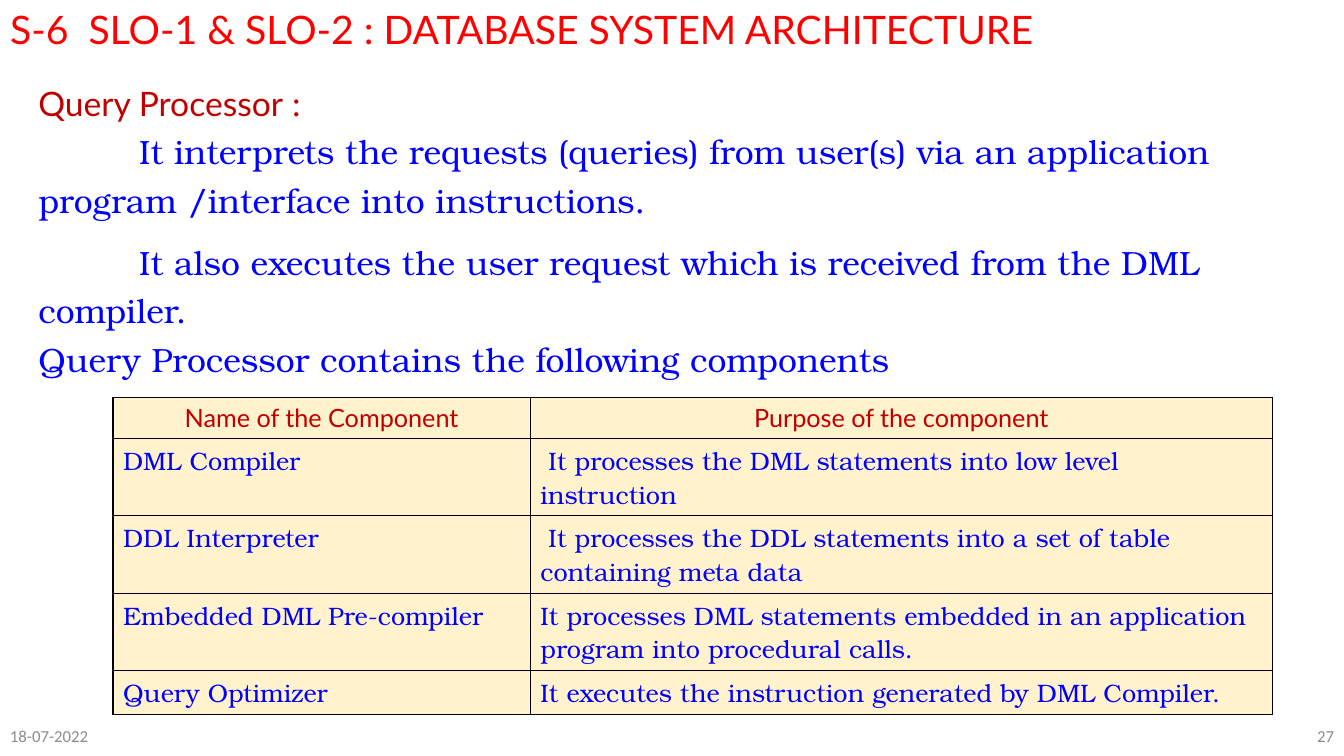
from lxml import etree
from pptx import Presentation
from pptx.dml.color import RGBColor
from pptx.enum.text import MSO_ANCHOR, MSO_AUTO_SIZE, PP_ALIGN
from pptx.oxml.ns import qn
from pptx.util import Inches, Pt

LEFT, CENTER, RIGHT = PP_ALIGN.LEFT, PP_ALIGN.CENTER, PP_ALIGN.RIGHT
TOP, MIDDLE = MSO_ANCHOR.TOP, MSO_ANCHOR.MIDDLE
NO_AUTOFIT = MSO_AUTO_SIZE.NONE

SANS, SERIF, FOOTER_FONT = "Lato", "TeX Gyre Bonum", "Calibri"
RED, DARK_RED, BLUE = "FF0000", "C00000", "0000FF"
GREY, CREAM, BLACK = "8C8C8C", "FFF2CC", "000000"

BODY_TEXT = [
    ("It interprets the requests (queries) from user(s) via an application "
     "program /interface into instructions.", 1, 0),
    ("It also executes the user request which is received from the DML compiler.", 1, 10),
    ("Query Processor contains the following components", 0, 0),
]
COMPONENTS = [
    ("Name of the Component", "Purpose of the component"),
    ("DML Compiler", " It processes the DML statements into low level instruction"),
    ("DDL Interpreter",
     " It processes the DDL statements into a set of table containing meta data"),
    ("Embedded DML Pre-compiler",
     "It processes DML statements embedded in an application program into procedural calls."),
    ("Query Optimizer", "It executes the instruction generated by DML Compiler."),
]


def color(value):
    return RGBColor.from_string(value)


def write(paragraph, text, size=18, font=SERIF, fill=BLUE, align=LEFT):
    paragraph.alignment = align
    run = paragraph.add_run()
    run.text = text
    run.font.size = Pt(size)
    run.font.name = font
    run.font.bold = False
    run.font.color.rgb = color(fill)


def place(shape, left, top, width, height, anchor=TOP):
    shape.left, shape.top = Inches(left), Inches(top)
    shape.width, shape.height = Inches(width), Inches(height)
    frame = shape.text_frame
    frame.word_wrap = True
    frame.auto_size = NO_AUTOFIT
    frame.vertical_anchor = anchor
    return frame


def format_body_paragraph(paragraph, indent, space_before):
    properties = paragraph._p.get_or_add_pPr()
    properties.set("marL", "0")
    properties.set("indent", str(Inches(indent)))
    etree.SubElement(properties, qn("a:buNone"))
    paragraph.line_spacing = 1.2
    paragraph.space_before = Pt(space_before)
    paragraph.space_after = Pt(0)


def add_title(slide, left, top, width, height):
    frame = place(slide.shapes.title, left, top, width, height)
    write(frame.paragraphs[0], "S-6  SLO-1 & SLO-2 : DATABASE SYSTEM ARCHITECTURE",
          size=28, font=SANS, fill=RED)


def add_body(slide, left, top, width, height):
    frame = place(slide.placeholders[1], left, top, width, height)
    heading = frame.paragraphs[0]
    format_body_paragraph(heading, 0, 0)
    write(heading, "Query Processor ", size=24, font=SANS, fill=DARK_RED)
    write(heading, ":", size=24, fill=DARK_RED)
    for text, indent, space_before in BODY_TEXT:
        paragraph = frame.add_paragraph()
        format_body_paragraph(paragraph, indent, space_before)
        write(paragraph, text, size=24)


def set_borders(cell):
    properties = cell._tc.get_or_add_tcPr()
    for position, side in enumerate(("a:lnL", "a:lnR", "a:lnT", "a:lnB")):
        line = etree.Element(qn(side), w=str(Pt(1)))
        fill = etree.SubElement(line, qn("a:solidFill"))
        etree.SubElement(fill, qn("a:srgbClr"), val=BLACK)
        properties.insert(position, line)


def add_components_table(slide, left, top, width, height):
    frame = slide.shapes.add_table(len(COMPONENTS), 2, Inches(left), Inches(top),
                                   Inches(width), Inches(height))
    table = frame.table
    name_width = 4.14
    table.columns[0].width = Inches(name_width)
    table.columns[1].width = Inches(width - name_width)
    for row_index, texts in enumerate(COMPONENTS):
        table.rows[row_index].height = Inches(height / len(COMPONENTS))
        header = row_index == 0
        for column_index, text in enumerate(texts):
            cell = table.cell(row_index, column_index)
            cell.fill.solid()
            cell.fill.fore_color.rgb = color(CREAM)
            set_borders(cell)
            write(cell.text_frame.paragraphs[0], text,
                  font=SANS if header else SERIF,
                  fill=DARK_RED if header else BLUE,
                  align=CENTER if header else LEFT)


def add_footer(slide, left, top, width, height):
    part_width = 4.42
    parts = [("18-07-2022", left, LEFT), ("27", left + width - part_width, RIGHT)]
    for text, part_left, align in parts:
        box = slide.shapes.add_textbox(0, 0, 0, 0)
        frame = place(box, part_left, top, part_width, height, anchor=MIDDLE)
        write(frame.paragraphs[0], text, size=12, font=FOOTER_FONT, fill=GREY, align=align)


def main():
    presentation = Presentation()
    presentation.slide_width = Inches(13.33)
    presentation.slide_height = Inches(7.5)
    slide = presentation.slides.add_slide(presentation.slide_layouts[1])
    add_body(slide, 0.28, 0.69, 12.51, 3.23)
    add_footer(slide, 0, 7.1, 13.33, 0.4)
    add_title(slide, 0, 0, 12, 0.57)
    add_components_table(slide, 1.12, 3.94, 11.5, 2.05)
    presentation.save("out.pptx")


if __name__ == "__main__":
    main()
